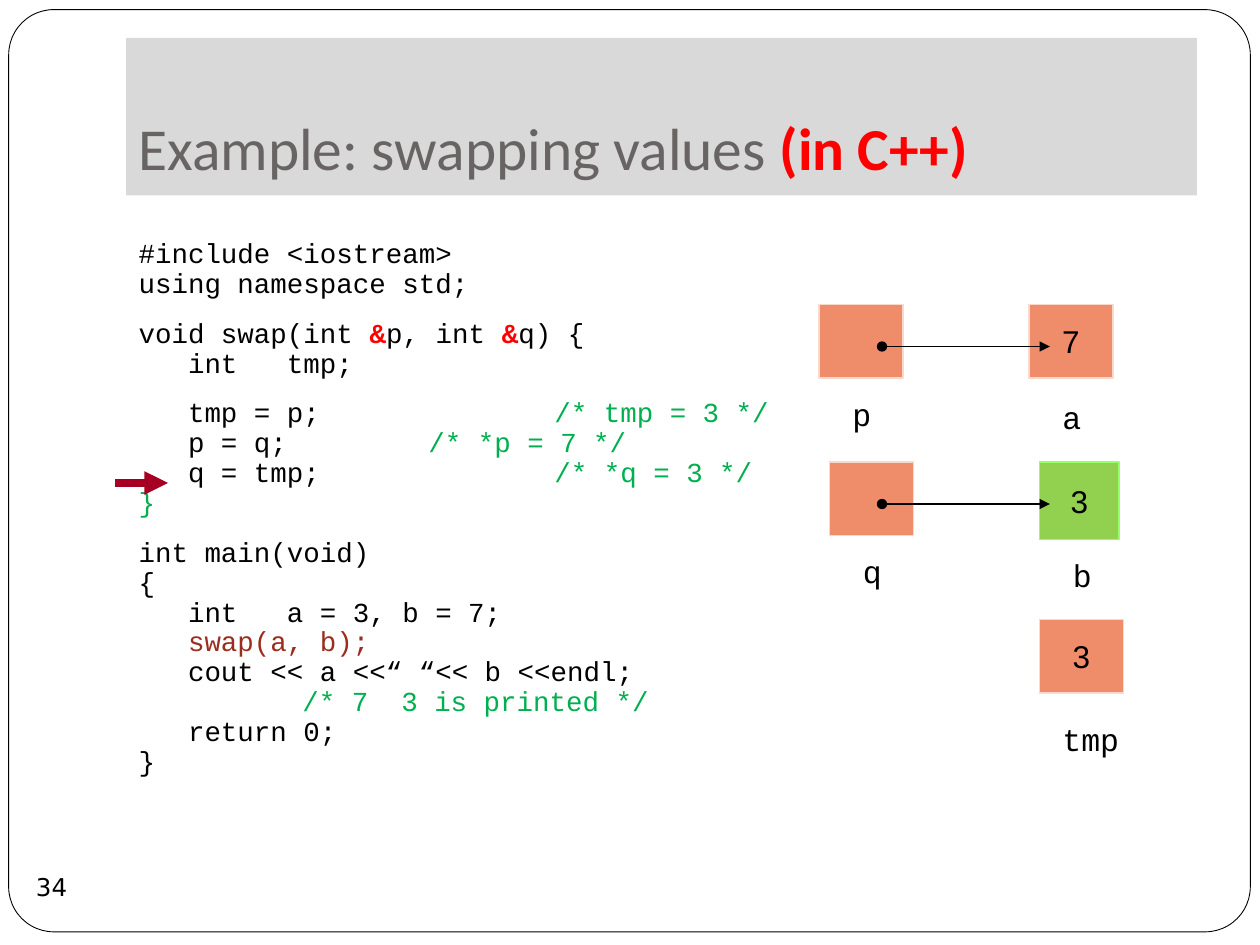
from dataclasses import dataclass

from lxml.etree import SubElement
from pptx import Presentation
from pptx.dml.color import RGBColor as RGB
from pptx.enum.shapes import MSO_CONNECTOR as CONNECTOR, MSO_SHAPE as SHAPE
from pptx.enum.text import MSO_ANCHOR as ANCHOR, MSO_AUTO_SIZE as AUTO, PP_ALIGN as ALIGN
from pptx.oxml.ns import qn
from pptx.util import Pt


@dataclass(frozen=True)
class Theme:
    black: str = "000000"
    white: str = "FFFFFF"
    band: str = "D9D9D9"
    title: str = "696464"
    accent: str = "FF0000"
    comment: str = "00B050"
    call: str = "9B2D1F"
    cell: str = "EF8C6A"
    cell_edge: str = "FAD9CD"
    changed: str = "92D050"
    changed_edge: str = "99FF66"
    marker: str = "A50021"
    title_size: float = 34
    code_size: float = 15.7
    value_size: float = 18
    number_size: float = 14
    heading_font: str = "Calibri"
    code_font: str = "Courier New"
    value_font: str = "Arial"
    number_font: str = "DejaVu Sans"


THEME = Theme()
STYLES = {
    "code": (THEME.black, False),
    "ref": (THEME.accent, True),
    "comment": (THEME.comment, False),
    "call": (THEME.call, False),
}

# Each block is a list of lines, each line a list of (text, style) parts
CODE_BLOCKS = [
    [[("#include <iostream>", "code")],
     [("using namespace std;", "code")]],
    [[("void swap(int ", "code"), ("&", "ref"), ("p, int ", "code"),
      ("&", "ref"), ("q) {", "code")],
     [("   int   tmp;", "code")]],
    [[("   tmp = p;\t\t", "code"), ("/* tmp = 3 */", "comment")],
     [("   p = q;\t\t", "code"), ("/* *p = 7 */", "comment")],
     [("   q = tmp;\t\t", "code"), ("/* *q = 3 */", "comment")],
     [("}", "comment")]],
    [[("int main(void)", "code")],
     [("{", "code")],
     [("   int   a = 3, b = 7;", "code")],
     [("   swap(a, b);", "call")],
     [("   cout << a <<“ “<< b <<endl;", "code")],
     [("\t\t/* 7  3 is printed */", "comment")],
     [("   return 0;", "code")],
     [("}", "code")]],
]


def apply(target, values):
    for name, value in values.items():
        setattr(target, name, value)


def place(shape, box):
    apply(shape, dict(zip(("left", "top", "width", "height"), map(Pt, box))))


def add_run(paragraph, text, font, size, color, bold=False):
    run = paragraph.add_run()
    run.text = text
    apply(run.font, {"name": font, "size": Pt(size), "bold": bold})
    run.font.color.rgb = RGB.from_string(color)


def add_shape(slide, kind, box, fill=None, edge=None, weight=0.75):
    shape = slide.shapes.add_shape(kind, *map(Pt, box))
    shape.shadow.inherit = False
    if fill:
        shape.fill.solid()
        shape.fill.fore_color.rgb = RGB.from_string(fill)
    else:
        shape.fill.background()
    if edge:
        shape.line.color.rgb = RGB.from_string(edge)
        shape.line.width = Pt(weight)
    else:
        shape.line.fill.background()
    return shape


def center_text(shape, text, font, size):
    frame = shape.text_frame
    apply(frame, {"word_wrap": False, "vertical_anchor": ANCHOR.MIDDLE,
                  "margin_left": 0, "margin_right": 0, "margin_top": 0, "margin_bottom": 0})
    frame.paragraphs[0].alignment = ALIGN.CENTER
    add_run(frame.paragraphs[0], text, font, size, THEME.black)


def add_arrow(slide, x, y, length, color, weight, head=None):
    arrow = slide.shapes.add_connector(CONNECTOR.STRAIGHT, Pt(x), Pt(y), Pt(x + length), Pt(y))
    arrow.line.color.rgb = RGB.from_string(color)
    arrow.line.width = Pt(weight)
    line = arrow.line._get_or_add_ln()
    if head:
        SubElement(line, qn("a:headEnd"), type=head)
    SubElement(line, qn("a:tailEnd"), type="triangle")
    SubElement(arrow._element.spPr, qn("a:effectLst"))


def frame_page(slide, box):
    border = add_shape(slide, SHAPE.ROUNDED_RECTANGLE, box, THEME.white, THEME.black, 0.5)
    border.adjustments[0] = 0.049
    slide.shapes._spTree.insert(2, border._element)  # behind everything else


def fill_title(slide, box):
    title = slide.shapes.title
    place(title, box)
    title.fill.solid()
    title.fill.fore_color.rgb = RGB.from_string(THEME.band)
    apply(title.text_frame, {"vertical_anchor": ANCHOR.BOTTOM, "margin_bottom": Pt(7.2),
                             "auto_size": AUTO.NONE, "word_wrap": True})
    heading = title.text_frame.paragraphs[0]
    heading.alignment = ALIGN.LEFT
    for text, color, bold in (("Example: swapping values ", THEME.title, False),
                              ("(in C++)", THEME.accent, True)):
        add_run(heading, text, THEME.heading_font, THEME.title_size, color, bold)


def fill_code(slide, box):
    listing = slide.placeholders[1]
    place(listing, box)
    frame = listing.text_frame
    apply(frame, {"auto_size": AUTO.NONE, "word_wrap": True,
                  "vertical_anchor": ANCHOR.TOP, "margin_top": Pt(3.6)})
    first = True
    for block in CODE_BLOCKS:
        for row, line in enumerate(block):
            paragraph = frame.paragraphs[0] if first else frame.add_paragraph()
            space = 0 if first else 5.8 if row else 17
            apply(paragraph, {"line_spacing": 0.6, "space_before": Pt(space),
                              "alignment": ALIGN.LEFT})
            properties = paragraph._p.get_or_add_pPr()
            for name, length in {"marL": 21.6, "indent": -21.6, "defTabSz": 72}.items():
                properties.set(name, str(Pt(length)))
            SubElement(properties, qn("a:buNone"))
            for text, style in line:
                add_run(paragraph, text, THEME.code_font, THEME.code_size, *STYLES[style])
            first = False


def add_variable(slide, box, name, name_offset, value="", changed=False):
    colors = (THEME.changed, THEME.changed_edge) if changed else (THEME.cell, THEME.cell_edge)
    cell = add_shape(slide, SHAPE.RECTANGLE, box, *colors)
    if value:
        center_text(cell, value, THEME.value_font, THEME.value_size)
    dx, dy = name_offset
    width = 14.4 + 10.8 * len(name)
    label = slide.shapes.add_textbox(Pt(box[0] + dx), Pt(box[1] + dy), Pt(width), Pt(29))
    label.text_frame.word_wrap = False
    add_run(label.text_frame.paragraphs[0], name, THEME.code_font, THEME.value_size, THEME.black)


def draw_memory(slide, box):
    left, top, width, _ = box
    row = 90  # distance between rows of variables
    right = left + width - 48
    add_variable(slide, (right - 6, top, 48, 42), "a", (12, 50), "7")
    add_variable(slide, (left, top, 48, 42), "p", (12, 48))
    add_variable(slide, (right, top + row, 45.5, 44.5), "b", (12, 50), "3", changed=True)
    add_variable(slide, (left + 6, top + row, 48, 42), "q", (12, 48))
    add_variable(slide, (right, top + 2 * row, 48, 42), "tmp", (6, 54), "3")
    # References from p to a and from q to b
    for index in range(2):
        add_arrow(slide, left + 36, top + 24 + index * row, 96, THEME.black, 0.75, "oval")


def add_page_number(slide, box):
    center_text(add_shape(slide, SHAPE.OVAL, box), "34", THEME.number_font, THEME.number_size)


def main():
    deck = Presentation()
    deck.slide_width, deck.slide_height = Pt(720), Pt(540)
    slide = deck.slides.add_slide(deck.slide_layouts[1])
    frame_page(slide, (5, 5.5, 709.5, 527))
    fill_title(slide, (72, 21.6, 612, 90))
    add_page_number(slide, (11.5, 489, 36, 36))
    fill_code(slide, (72, 138, 384, 330))
    draw_memory(slide, (468, 174, 174, 264))
    # Marker for the current line
    add_arrow(slide, 66, 276, 30, THEME.marker, 4.5)
    deck.save("out.pptx")


if __name__ == "__main__":
    main()
